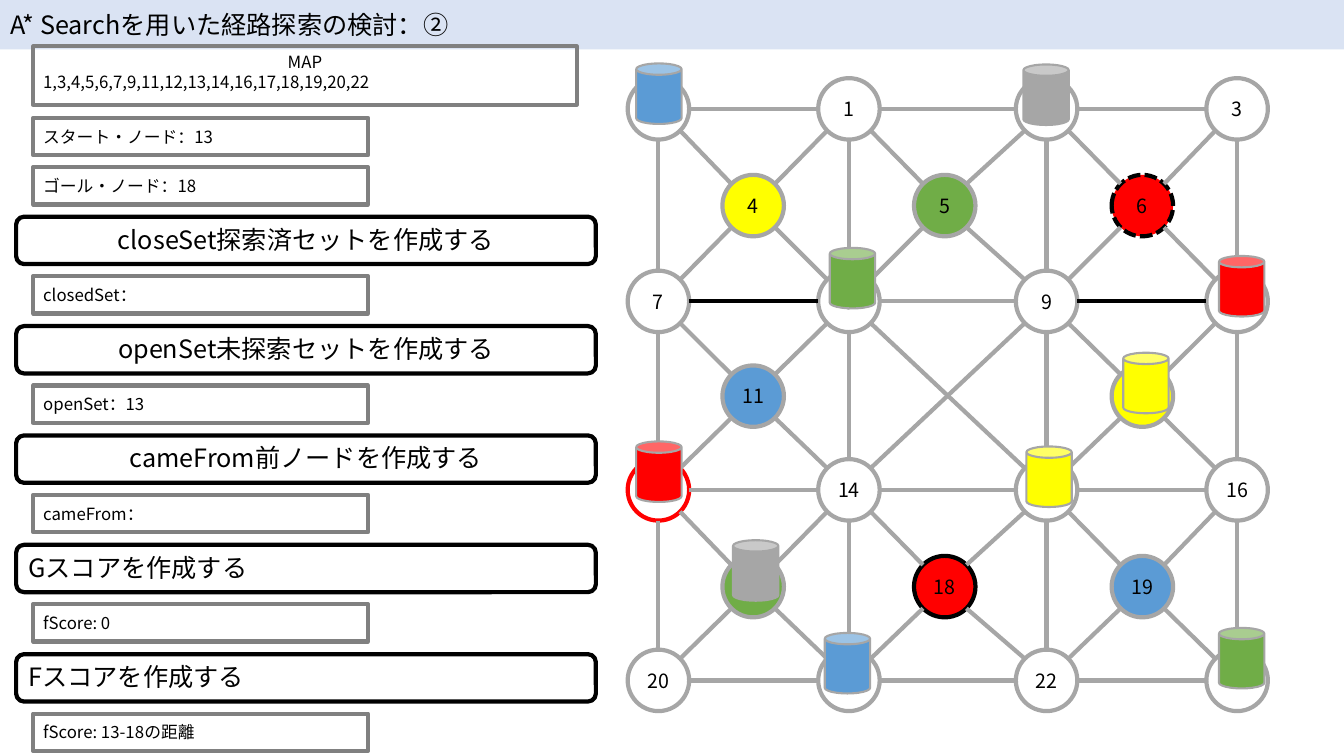
import pptx
import pptx.util
import pptx.dml.color
import pptx.enum.dml
import pptx.enum.shapes
import pptx.enum.text
import pptx.oxml.ns
from lxml import etree

Inches = pptx.util.Inches
SHAPES = pptx.enum.shapes.MSO_SHAPE
ANCHOR = pptx.enum.text.MSO_ANCHOR
ALIGN = pptx.enum.text.PP_ALIGN
DASH = pptx.enum.dml.MSO_LINE

# Content
TITLE = "A* Searchを用いた経路探索の検討：②"
MAP_LINES = [("MAP", ALIGN.CENTER),
             ("1,3,4,5,6,7,9,11,12,13,14,16,17,18,19,20,22", ALIGN.LEFT)]
ENDPOINTS = ["スタート・ノード：13", "ゴール・ノード：18"]
STEPS = [  # heading, alignment, field below it
    ("closeSet探索済セットを作成する", ALIGN.CENTER, "closedSet："),
    ("openSet未探索セットを作成する", ALIGN.CENTER, "openSet：13"),
    ("cameFrom前ノードを作成する", ALIGN.CENTER, "cameFrom："),
    ("Gスコアを作成する", ALIGN.LEFT, "fScore: 0"),
    ("Fスコアを作成する", ALIGN.LEFT, "fScore: 13-18の距離"),
]

# Graph: even rows hold corner nodes, odd rows hold nodes between them
CORNER_X = [6.53, 8.42, 10.38, 12.27]
MIDDLE_X = [7.47, 9.37, 11.33]
ROW_Y = [1.08, 2.04, 2.99, 3.93, 4.86, 5.82, 6.75]
CROSSING = (3, 1)  # row and column without a node
UNLABELLED = {0, 2, 15, 17}
NODE_FILLS = {4: "yellow", 5: "green", 6: "red", 11: "blue", 12: "yellow",
              17: "green", 18: "red", 19: "blue"}
NODE_LINES = {6: "black", 13: "red", 18: "black"}
DASHED_NODES = {6}
BLOCKED_EDGES = {(7, 8), (9, 10)}
RADIUS = 0.305

CAN_SIZE = (0.45, 0.6)
CANS = [  # left, top, colour
    (10.18, 4.43, "yellow"), (8.18, 6.28, "blue"), (8.23, 2.46, "green"),
    (6.31, 4.38, "red"), (12.09, 2.54, "red"), (12.09, 6.23, "green"),
    (6.31, 0.63, "blue"), (11.14, 3.5, "yellow"), (10.15, 0.64, "gray"),
    (7.27, 5.36, "gray"),
]

THEME = {
    "font": "Noto Sans CJK JP",
    "heading": 18, "node": 14, "field": 12,
    "thick": 3, "thin": 1.5,
    "black": "000000", "white": "FFFFFF", "band": "DAE3F3",
    "gray": "A6A6A6", "border": "808080", "red": "FF0000",
    "yellow": "FFFF00", "green": "70AD47", "blue": "5B9BD5",
}


def color(name):
    return pptx.dml.color.RGBColor.from_string(THEME[name])


def write(shape, lines, size, anchor=ANCHOR.MIDDLE):
    """Fill a shape with (text, alignment) lines."""
    frame = shape.text_frame
    frame.word_wrap = True
    frame.auto_size = pptx.enum.text.MSO_AUTO_SIZE.NONE
    frame.vertical_anchor = anchor
    for index, (text, alignment) in enumerate(lines):
        paragraph = frame.add_paragraph() if index else frame.paragraphs[0]
        paragraph.alignment = alignment
        run = paragraph.add_run()
        run.text = text
        run.font.name = THEME["font"]
        run.font.size = pptx.util.Pt(THEME[size])
        run.font.color.rgb = color("black")
        east_asian = etree.SubElement(run.font._element, pptx.oxml.ns.qn("a:ea"))
        east_asian.set("typeface", THEME["font"])


def add_box(slide, kind, box, fill, line, width="thick"):
    shape = slide.shapes.add_shape(kind, *map(Inches, box))
    shape.shadow.inherit = False
    if fill:
        shape.fill.solid()
        shape.fill.fore_color.rgb = color(fill)
    else:
        shape.fill.background()
    shape.line.color.rgb = color(line)
    shape.line.width = pptx.util.Pt(THEME[width])
    return shape


def add_field(slide, top, text):
    shape = add_box(slide, SHAPES.RECTANGLE, (0.33, top, 3.32, 0.37), None, "border")
    write(shape, [(text, ALIGN.LEFT)], "field")


def add_title(slide):
    title = slide.shapes.title
    title.left, title.top, title.width, title.height = map(Inches, (0, 0, 13.33, 0.49))
    title.fill.solid()
    title.fill.fore_color.rgb = color("band")
    write(title, [(TITLE, ALIGN.LEFT)], "heading")


def place_nodes():
    """Number the grid places row by row: {(row, column): (number, x, y)}."""
    nodes = {}
    for row, y in enumerate(ROW_Y):
        for column, x in enumerate(MIDDLE_X if row % 2 else CORNER_X):
            if (row, column) != CROSSING:
                nodes[row, column] = (len(nodes), x, y)
    return nodes


def find_edges(nodes):
    edges = []
    for (row, column), node in nodes.items():
        if row % 2:
            neighbours = [(row + down, column + right)
                          for down in (-1, 1) for right in (0, 1)]
        else:
            neighbours = [(row, column + 1), (row + 2, column)]
        edges += [(node, nodes[place]) for place in neighbours if place in nodes]
    row, column = CROSSING
    for side in (0, 1):
        edges.append((nodes[row - 1, column + side], nodes[row + 1, column + 1 - side]))
    return edges


def add_edge(slide, start, end):
    """Join two circles at the nearest of their eight compass points."""
    first, x1, y1 = start
    second, x2, y2 = end
    right = (x2 > x1) - (x2 < x1)
    down = (y2 > y1) - (y2 < y1)
    reach = RADIUS / (abs(right) + abs(down)) ** 0.5
    ends = (x1 + right * reach, y1 + down * reach, x2 - right * reach, y2 - down * reach)
    edge = slide.shapes.add_connector(
        pptx.enum.shapes.MSO_CONNECTOR.STRAIGHT, *map(Inches, ends))
    edge.line.color.rgb = color("black" if (first, second) in BLOCKED_EDGES else "gray")
    edge.line.width = pptx.util.Pt(THEME["thick"])
    etree.SubElement(edge._element.spPr, pptx.oxml.ns.qn("a:effectLst"))


def add_node(slide, number, x, y):
    box = (x - RADIUS, y - RADIUS, 2 * RADIUS, 2 * RADIUS)
    node = add_box(slide, SHAPES.OVAL, box, NODE_FILLS.get(number, "white"),
                   NODE_LINES.get(number, "gray"))
    if number in DASHED_NODES:
        node.line.dash_style = DASH.SQUARE_DOT
    if number not in UNLABELLED:
        node.text_frame.margin_left = node.text_frame.margin_right = 0
        write(node, [(str(number), ALIGN.CENTER)], "node")


def main():
    presentation = pptx.Presentation()
    presentation.slide_width, presentation.slide_height = Inches(13.33), Inches(7.5)
    slide = presentation.slides.add_slide(presentation.slide_layouts[5])
    add_title(slide)

    # Graph with cans
    nodes = place_nodes()
    for node in nodes.values():
        add_node(slide, *node)
    for start, end in find_edges(nodes):
        add_edge(slide, start, end)
    for left, top, fill in CANS:
        add_box(slide, SHAPES.CAN, (left, top, *CAN_SIZE), fill, "gray", "thin")

    # Map and end points
    map_box = add_box(slide, SHAPES.RECTANGLE, (0.33, 0.46, 5.39, 0.58), None, "border")
    write(map_box, MAP_LINES, "field", ANCHOR.TOP)
    for index, text in enumerate(ENDPOINTS):
        add_field(slide, 1.17 + 0.49 * index, text)

    # Steps, each with its field
    for index, (heading, alignment, field) in enumerate(STEPS):
        top = 2.15 + 1.085 * index
        step = add_box(slide, SHAPES.ROUNDED_RECTANGLE, (0.16, top, 5.75, 0.47),
                       "white", "black")
        write(step, [(heading, alignment)], "heading", ANCHOR.TOP)
        add_field(slide, top + 0.59, field)

    presentation.save("out.pptx")


if __name__ == "__main__":
    main()
